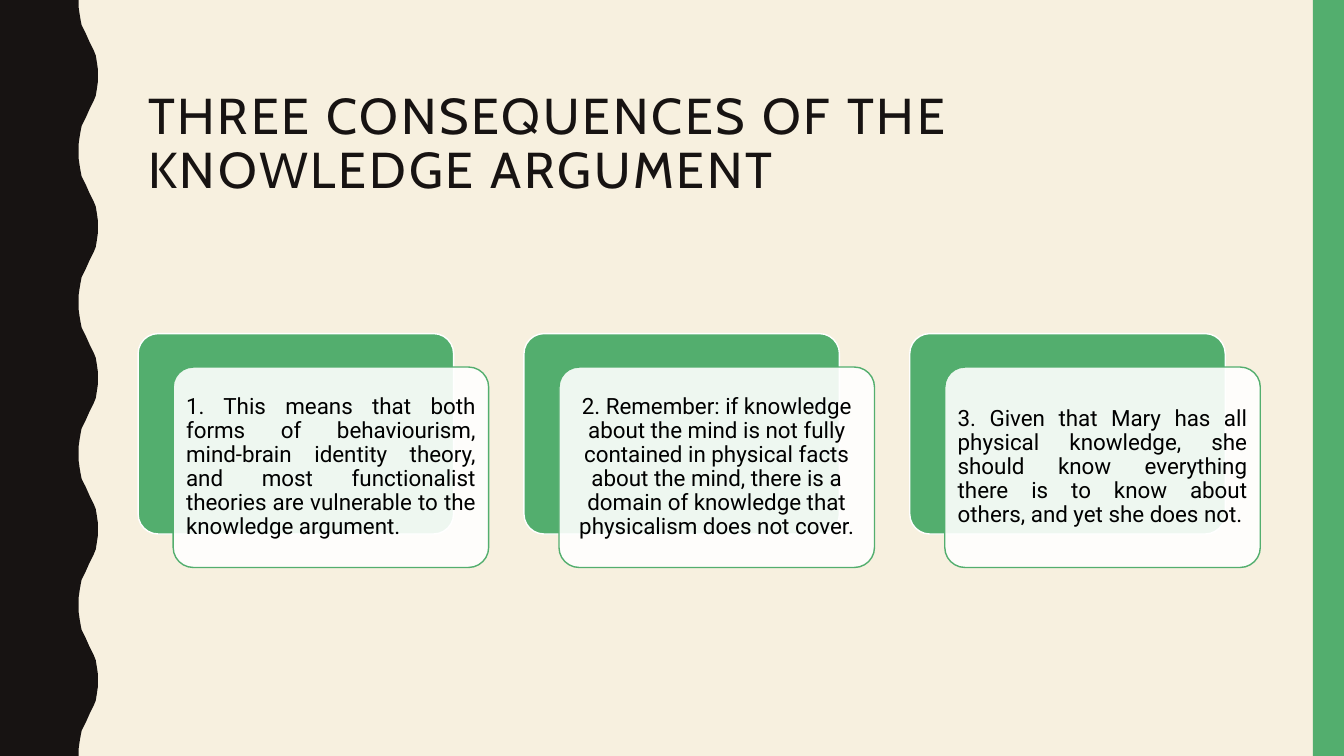
from lxml.etree import SubElement
from pptx import Presentation
from pptx.dml.color import RGBColor
from pptx.enum.shapes import MSO_SHAPE
from pptx.enum.text import MSO_ANCHOR, PP_ALIGN
from pptx.oxml.ns import qn
from pptx.util import Inches, Pt

CREAM = RGBColor(0xF7, 0xF0, 0xDF)
INK = RGBColor(0x17, 0x13, 0x12)
GREEN = RGBColor(0x53, 0xAE, 0x6E)
WHITE = RGBColor(0xFF, 0xFF, 0xFF)
BLACK = RGBColor(0, 0, 0)

WIDTH, HEIGHT = 13.33, 7.5
BAR = 0.31
WAVES = 5
# Depth and height of the edge over the first half of one wave
CURVE = [(0.78, 0), (0.78, 0.07), (0.79, 0.14), (0.8, 0.2), (0.81, 0.25),
         (0.85, 0.33), (0.89, 0.42), (0.93, 0.5), (0.95, 0.55),
         (0.96, 0.61), (0.97, 0.68), (0.97, 0.75)]

TITLE = "THREE CONSEQUENCES OF THE KNOWLEDGE ARGUMENT"
CARDS = [
    ("1. This means that both forms of behaviourism, mind-brain identity "
     "theory, and most functionalist theories are vulnerable to the "
     "knowledge argument.", PP_ALIGN.JUSTIFY),
    ("2. Remember: if knowledge about the mind is not fully contained in "
     "physical facts about the mind, there is a domain of knowledge that "
     "physicalism does not cover.", PP_ALIGN.CENTER),
    ("3. Given that Mary has all physical knowledge, she should know "
     "everything there is to know about others, and yet she does not.",
     PP_ALIGN.JUSTIFY),
]


def paint(shape, fill, line=None):
    shape.shadow.inherit = False
    shape.fill.solid()
    shape.fill.fore_color.rgb = fill
    if line is None:
        shape.line.fill.background()
    else:
        shape.line.color.rgb = line
        shape.line.width = Pt(1)


def write(frame, text, font, size, color, align):
    frame.word_wrap = True
    frame.vertical_anchor = MSO_ANCHOR.MIDDLE
    par = frame.paragraphs[0]
    par.text = text
    par.alignment = align
    par.line_spacing = 0.9
    par.font.name = font
    par.font.size = Pt(size)
    par.font.color.rgb = color
    return par


def add_wave(slide, height):
    """Draw the dark band whose right edge repeats one wave down the slide."""
    period = height / WAVES
    wave = CURVE + [(x, period - y) for x, y in reversed(CURVE[:-1])]
    edge = [(x, y + turn * period) for turn in range(WAVES) for x, y in wave]
    points = [(Inches(x), Inches(y)) for x, y in edge + [(0, height)]]
    pen = slide.shapes.build_freeform(0, 0)
    pen.add_line_segments(points, close=True)
    paint(pen.convert_to_shape(), INK)


def add_bar(slide, left, top, width, height):
    bar = slide.shapes.add_shape(
        MSO_SHAPE.RECTANGLE, *map(Inches, (left, top, width, height)))
    paint(bar, GREEN)


def add_title(slide, left, top, width, height):
    box = slide.shapes.add_textbox(*map(Inches, (left, top, width, height)))
    box.text_frame.margin_right = Inches(0.5)
    par = write(box.text_frame, TITLE, "Cabin", 36, INK, PP_ALIGN.LEFT)
    par.runs[0].font._element.set("spc", "200")


def add_panel(slide, left, top, width, height, fill, line):
    panel = slide.shapes.add_shape(
        MSO_SHAPE.ROUNDED_RECTANGLE,
        *map(Inches, (left, top, width, height)))
    panel.adjustments[0] = 0.1
    paint(panel, fill, line)
    return panel


def add_card(slide, left, top, width, height, text, align):
    """Lay a translucent text panel over a green one, within the box."""
    wide, high = width * 0.9, height * 0.857
    add_panel(slide, left, top, wide, high, GREEN, WHITE)
    front = add_panel(slide, left + width - wide, top + height - high,
                      wide, high, WHITE, GREEN)
    tint = front.fill._xPr.find(qn("a:solidFill"))[0]
    SubElement(tint, qn("a:alpha"), val="90000")
    frame = front.text_frame
    frame.margin_left = frame.margin_right = Inches(0.07)
    frame.margin_top = frame.margin_bottom = Inches(0.07)
    write(frame, text, "Roboto", 16, BLACK, align)


def add_cards(slide, left, top, width, height):
    """Share the box among the cards, with equal gaps."""
    gap = 0.35
    wide = (width - gap * (len(CARDS) - 1)) / len(CARDS)
    for col, (text, align) in enumerate(CARDS):
        add_card(slide, left + col * (wide + gap), top, wide, height,
                 text, align)


def main():
    deck = Presentation()
    deck.slide_width, deck.slide_height = Inches(WIDTH), Inches(HEIGHT)
    slide = deck.slides.add_slide(deck.slide_layouts[6])
    slide.background.fill.solid()
    slide.background.fill.fore_color.rgb = CREAM
    add_wave(slide, HEIGHT)
    add_bar(slide, WIDTH - BAR, 0, BAR, HEIGHT)
    add_title(slide, 1.37, 0.83, 11.53, 1.22)
    add_cards(slide, 1.37, 3.31, 11.13, 2.32)
    deck.save("out.pptx")


if __name__ == "__main__":
    main()
